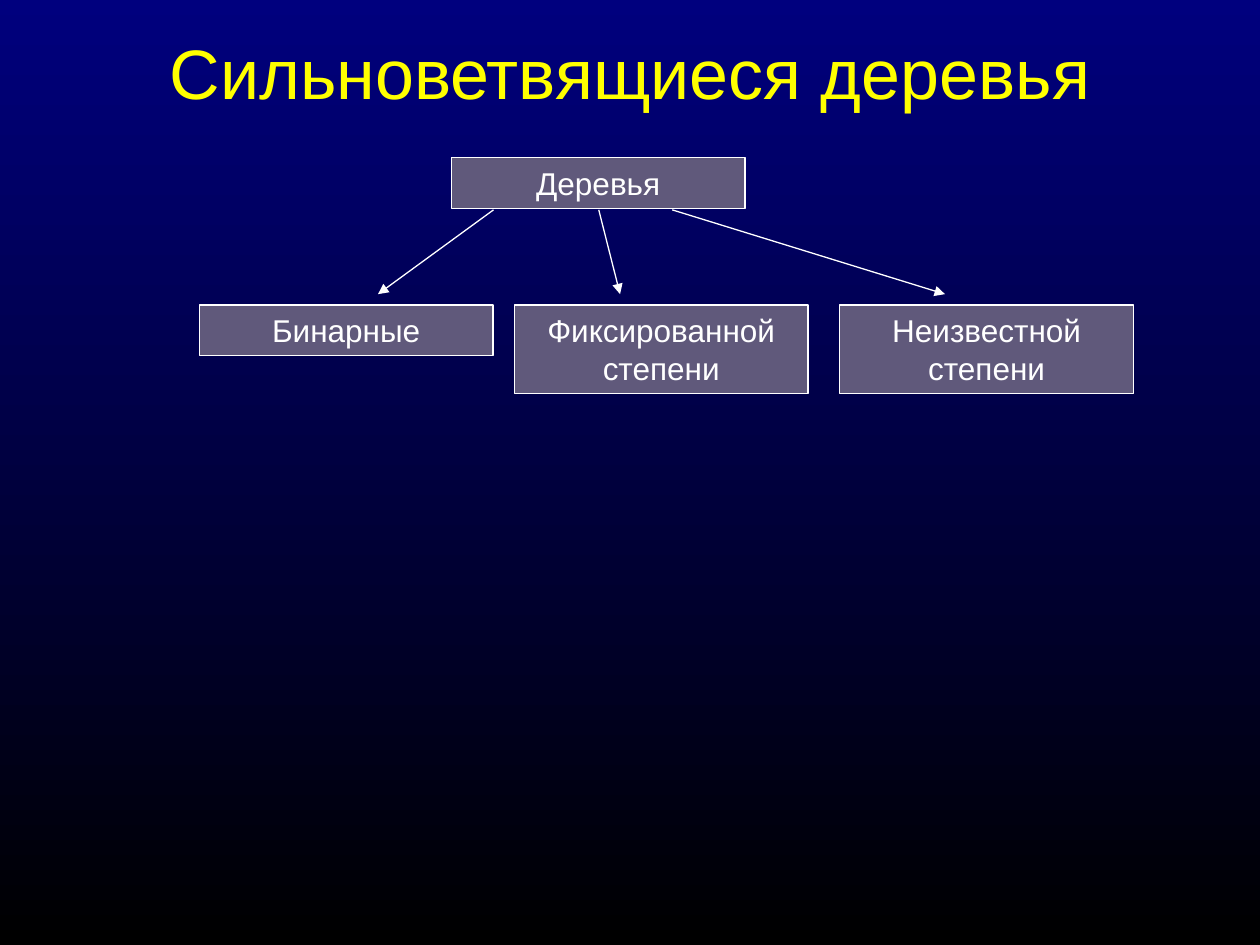
from dataclasses import dataclass

import pptx
import pptx.dml.color
import pptx.enum.shapes
import pptx.enum.text
import pptx.oxml
import pptx.oxml.ns
import pptx.util
from pptx.util import Cm


@dataclass(frozen=True)
class Theme:
    font: str = "Arial"
    title_size: int = 40
    node_size: int = 18
    title_color: str = "FFFF00"
    light: str = "FFFFFF"
    node_fill: str = "60597B"
    sky_top: str = "00007E"
    sky_bottom: str = "000000"
    line_width: float = 0.75


THEME = Theme()
NODE_WIDTH = 5.92
ROOT = ("Деревья", 9.1, 3.18, 1.02)
CHILD_TOP = 6.15
# Label, left, height, arrow start x, arrow end x (cm)
CHILDREN = [
    ("Бинарные", 4.02, 1.02, 9.95, 7.62),
    ("Фиксированной степени", 10.37, 1.78, 12.07, 12.5),
    ("Неизвестной степени", 16.93, 1.78, 13.55, 19.05),
]
ARROW_TOP, ARROW_BOTTOM = 4.23, 5.93


def rgb(color):
    return pptx.dml.color.RGBColor.from_string(color)


def write(shape, text, *, size, color, anchor):
    frame = shape.text_frame
    frame.word_wrap = True
    frame.auto_size = pptx.enum.text.MSO_AUTO_SIZE.NONE
    frame.vertical_anchor = anchor
    frame.text = text
    paragraph = frame.paragraphs[0]
    paragraph.alignment = pptx.enum.text.PP_ALIGN.CENTER
    font = paragraph.runs[0].font
    font.name = THEME.font
    font.size = pptx.util.Pt(size)
    font.color.rgb = rgb(color)


def style_line(line):
    line.color.rgb = rgb(THEME.light)
    line.width = pptx.util.Pt(THEME.line_width)


def paint_background(slide):
    fill = slide.background.fill
    fill.gradient()
    fill.gradient_angle = 270
    colors = (THEME.sky_top, THEME.sky_bottom)
    for position, (stop, color) in enumerate(zip(fill.gradient_stops, colors)):
        stop.position = position
        stop.color.rgb = rgb(color)


def set_title(slide, text):
    title = slide.shapes.title
    title.left, title.top = Cm(1.27), Cm(0.76)
    title.width, title.height = Cm(22.86), Cm(1.35)
    write(title, text, size=THEME.title_size, color=THEME.title_color,
          anchor=pptx.enum.text.MSO_ANCHOR.MIDDLE)


def add_node(slide, label, left, top, height):
    node = slide.shapes.add_shape(
        pptx.enum.shapes.MSO_SHAPE.RECTANGLE,
        Cm(left), Cm(top), Cm(NODE_WIDTH), Cm(height))
    node.shadow.inherit = False
    node.fill.solid()
    node.fill.fore_color.rgb = rgb(THEME.node_fill)
    style_line(node.line)
    write(node, label, size=THEME.node_size, color=THEME.light,
          anchor=pptx.enum.text.MSO_ANCHOR.TOP)


def add_arrow(slide, start_x, end_x):
    arrow = slide.shapes.add_connector(
        pptx.enum.shapes.MSO_CONNECTOR.STRAIGHT,
        Cm(start_x), Cm(ARROW_TOP), Cm(end_x), Cm(ARROW_BOTTOM))
    style_line(arrow.line)
    namespace = pptx.oxml.ns.nsdecls("a")
    arrow.line._get_or_add_ln().append(
        pptx.oxml.parse_xml(f'<a:tailEnd {namespace} type="triangle"/>'))
    arrow._element.spPr.append(
        pptx.oxml.parse_xml(f"<a:effectLst {namespace}/>"))


def main():
    deck = pptx.Presentation()
    deck.slide_width, deck.slide_height = Cm(25.4), Cm(19.05)
    slide = deck.slides.add_slide(deck.slide_layouts.get_by_name("Title Only"))
    paint_background(slide)
    set_title(slide, "Сильноветвящиеся деревья")
    add_node(slide, *ROOT)
    for label, left, height, start_x, end_x in CHILDREN:
        add_arrow(slide, start_x, end_x)
        add_node(slide, label, left, CHILD_TOP, height)
    deck.save("out.pptx")


if __name__ == "__main__":
    main()
